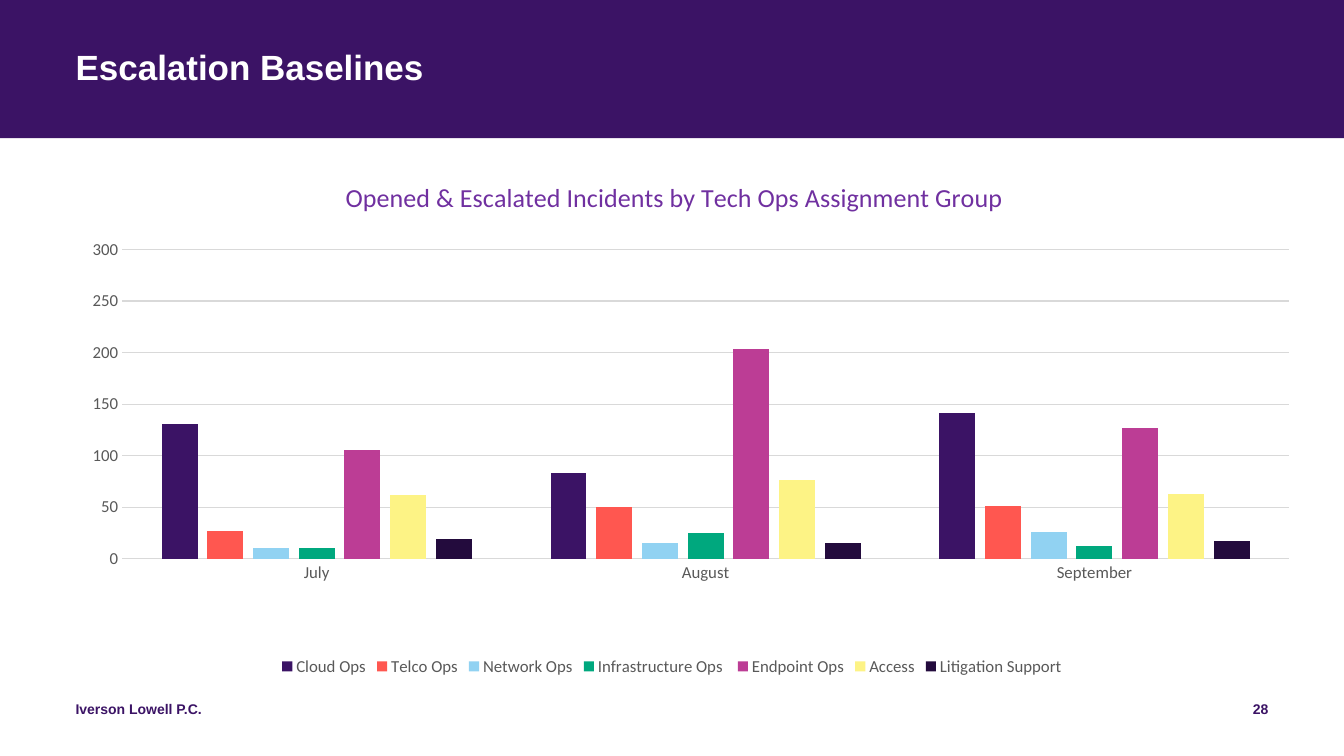
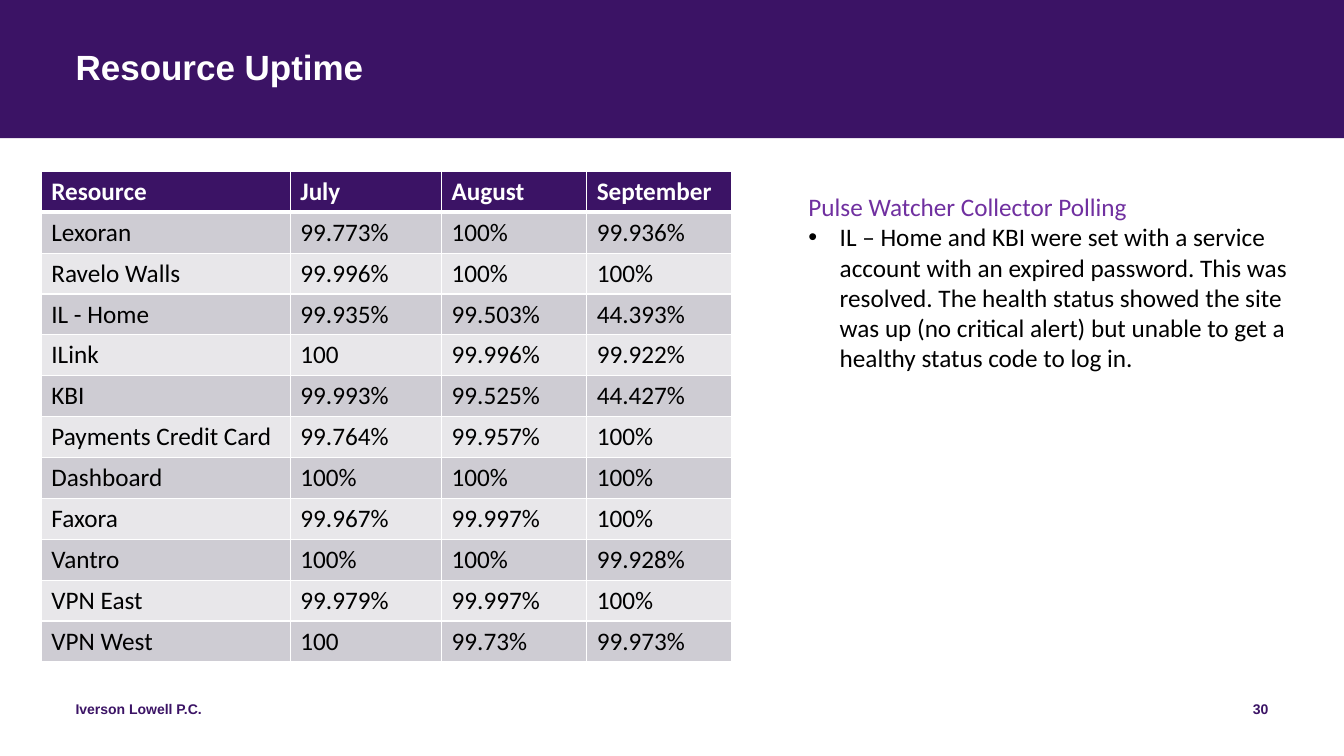
"""Build the escalation baselines and resource uptime slides."""
from lxml import etree
from pptx import Presentation
from pptx.chart.data import CategoryChartData
from pptx.dml.color import RGBColor
from pptx.enum import chart as ch, shapes, text
from pptx.oxml import parse_xml
from pptx.oxml.ns import nsdecls, qn
from pptx.util import Inches, Pt

PURPLE, VIOLET, WHITE, BLACK = "3B1365", "7030A0", "FFFFFF", "000000"
GREY, GRID = "595959", "D9D9D9"
MONTHS = ["July", "August", "September"]


def rgb(value):
    return RGBColor.from_string(value)


def style(font, size, color, name="Calibri", bold=False):
    font.size, font.name, font.bold = Pt(size), name, bold
    font.color.rgb = rgb(color)


prs = Presentation()
prs.slide_width, prs.slide_height = Inches(13.33), Inches(7.5)

slides = []
for heading, number in [("Escalation Baselines", "28"), ("Resource Uptime", "30")]:
    slide = prs.slides.add_slide(prs.slide_layouts[5])
    slides.append(slide)

    band = slide.shapes.add_shape(shapes.MSO_SHAPE.RECTANGLE, 0, 0, prs.slide_width, Inches(1.37))
    band.shadow.inherit = False
    band.fill.solid()
    band.fill.fore_color.rgb = rgb(PURPLE)
    band.line.fill.background()
    slide.shapes.element.insert(2, band.element)

    title = slide.shapes.title
    title.left, title.top = Inches(0.75), Inches(0.5)
    title.width, title.height = Inches(11.83), Inches(0.81)
    firm = slide.shapes.add_textbox(Inches(0.75), Inches(6.95), Inches(4.5), Inches(0.4))
    page = slide.shapes.add_textbox(Inches(9.58), Inches(6.95), Inches(3), Inches(0.4))
    for box, words, size, color, align in [
        (title, heading, 25, WHITE, text.PP_ALIGN.LEFT),
        (firm, "Iverson Lowell P.C.", 10, PURPLE, text.PP_ALIGN.LEFT),
        (page, number, 10, PURPLE, text.PP_ALIGN.RIGHT),
    ]:
        frame = box.text_frame
        frame.text = words
        frame.word_wrap = True
        frame.auto_size = text.MSO_AUTO_SIZE.NONE
        frame.vertical_anchor = text.MSO_ANCHOR.TOP
        frame.margin_left = frame.margin_top = frame.margin_right = frame.margin_bottom = 0
        frame.paragraphs[0].alignment = align
        style(frame.paragraphs[0].runs[0].font, size, color, "Arial", True)
    title.text_frame.paragraphs[0].line_spacing = 0.9

escalations, uptime = slides

groups = [
    ("Cloud Ops", [131, 83, 141], PURPLE),
    ("Telco Ops", [27, 50, 51], "FF5750"),
    ("Network Ops", [10, 15, 26], "91D2F2"),
    ("Infrastructure Ops ", [10, 25, 12], "00A87E"),
    ("Endpoint Ops", [105, 203, 127], "BC3D95"),
    ("Access", [62, 76, 63], "FDF385"),
    ("Litigation Support", [19, 15, 17], "230B3D"),
]
incidents = CategoryChartData()
incidents.categories = MONTHS
for group, counts, _ in groups:
    incidents.add_series(group, counts)
chart = escalations.shapes.add_chart(
    ch.XL_CHART_TYPE.COLUMN_CLUSTERED,
    Inches(0.25), Inches(1.55), Inches(12.83), Inches(5.2), incidents).chart
style(chart.font, 10, BLACK)
chart.has_title = True
chart.chart_title.text_frame.text = "Opened & Escalated Incidents by Tech Ops Assignment Group"
style(chart.chart_title.text_frame.paragraphs[0].runs[0].font, 18.6, VIOLET)
chart.has_legend = True
chart.legend.position = ch.XL_LEGEND_POSITION.BOTTOM
chart.legend.include_in_layout = False
style(chart.legend.font, 12, GREY)

plot = chart.plots[0]
plot.gap_width, plot.overlap, plot.vary_by_categories = 219, -27, False
for series, (_, _, color) in zip(plot.series, groups):
    series.format.fill.solid()
    series.format.fill.fore_color.rgb = rgb(color)

months, counts = chart.category_axis, chart.value_axis
for axis in (months, counts):
    axis.major_tick_mark = axis.minor_tick_mark = ch.XL_TICK_MARK.NONE
    style(axis.tick_labels.font, 12, GREY)
counts.minimum_scale, counts.maximum_scale, counts.major_unit = 0, 300, 50
counts.has_major_gridlines = True
counts.format.line.fill.background()
for line in (months.format.line, counts.major_gridlines.format.line):
    line.color.rgb = rgb(GRID)
    line.width = Pt(0.75)

title_place = {"xMode": "edge", "yMode": "edge", "x": 0.244, "y": 0.034}
plot_place = {"layoutTarget": "inner", "xMode": "edge", "yMode": "edge",
              "x": 0.075, "y": 0.178, "w": 0.902, "h": 0.59}
chart_xml = chart.element.find(qn("c:chart"))
for part, index, place in [("c:title", 1, title_place), ("c:plotArea", 0, plot_place)]:
    owner = chart_xml.find(qn(part))
    for old in owner.findall(qn("c:layout")):
        owner.remove(old)
    layout = etree.Element(qn("c:layout"))
    manual = etree.SubElement(layout, qn("c:manualLayout"))
    for key, value in place.items():
        etree.SubElement(manual, qn("c:" + key)).set("val", str(value))
    owner.insert(index, layout)

rows = [
    ["Resource", *MONTHS],
    ["Lexoran", "99.773%", "100%", "99.936%"],
    ["Ravelo Walls", "99.996%", "100%", "100%"],
    ["IL - Home", "99.935%", "99.503%", "44.393%"],
    ["ILink", "100", "99.996%", "99.922%"],
    ["KBI", "99.993%", "99.525%", "44.427%"],
    ["Payments Credit Card", "99.764%", "99.957%", "100%"],
    ["Dashboard", "100%", "100%", "100%"],
    ["Faxora", "99.967%", "99.997%", "100%"],
    ["Vantro", "100%", "100%", "99.928%"],
    ["VPN East", "99.979%", "99.997%", "100%"],
    ["VPN West", "100", "99.73%", "99.973%"],
]
table = uptime.shapes.add_table(
    len(rows), 4, Inches(0.41), Inches(1.7), Inches(6.85), Inches(4.86)).table
for column, width in zip(table.columns, [2.47, 1.5, 1.44, 1.44]):
    column.width = Inches(width)
for r, row in enumerate(rows):
    header = r == 0
    for c, value in enumerate(row):
        cell = table.cell(r, c)
        cell.text = value
        style(cell.text_frame.paragraphs[0].runs[0].font, 18, WHITE if header else BLACK, bold=header)
        cell.fill.solid()
        cell.fill.fore_color.rgb = rgb(PURPLE if header else "CECCD3" if r % 2 else "E8E7EA")
        for i, side in enumerate("LRTB"):
            heavy = (header and side == "B") or (r == 1 and side == "T")
            cell._tc.get_or_add_tcPr().insert(i, parse_xml(
                f'<a:ln{side} {nsdecls("a")} w="{Pt(3 if heavy else 1)}"><a:solidFill>'
                f'<a:srgbClr val="{WHITE}"/></a:solidFill></a:ln{side}>'))

polling = uptime.shapes.add_textbox(Inches(7.92), Inches(1.85), Inches(5.01), Inches(1.92)).text_frame
polling.word_wrap = True
polling.auto_size = text.MSO_AUTO_SIZE.SHAPE_TO_FIT_TEXT
polling.text = "Pulse Watcher Collector Polling"
finding = polling.add_paragraph()
finding.text = (
    "IL – Home and KBI were set with a service account with an expired password. "
    "This was resolved. The health status showed the site was up (no critical alert) "
    "but unable to get a healthy status code to log in.")
for paragraph, color in zip(polling.paragraphs, [VIOLET, BLACK]):
    style(paragraph.runs[0].font, 18, color)
bullet = finding._p.get_or_add_pPr()
bullet.set("marL", str(Inches(0.31)))
bullet.set("indent", str(-Inches(0.31)))
etree.SubElement(bullet, qn("a:buFont")).set("typeface", "Arial")
etree.SubElement(bullet, qn("a:buChar")).set("char", "•")

prs.save("out.pptx")
